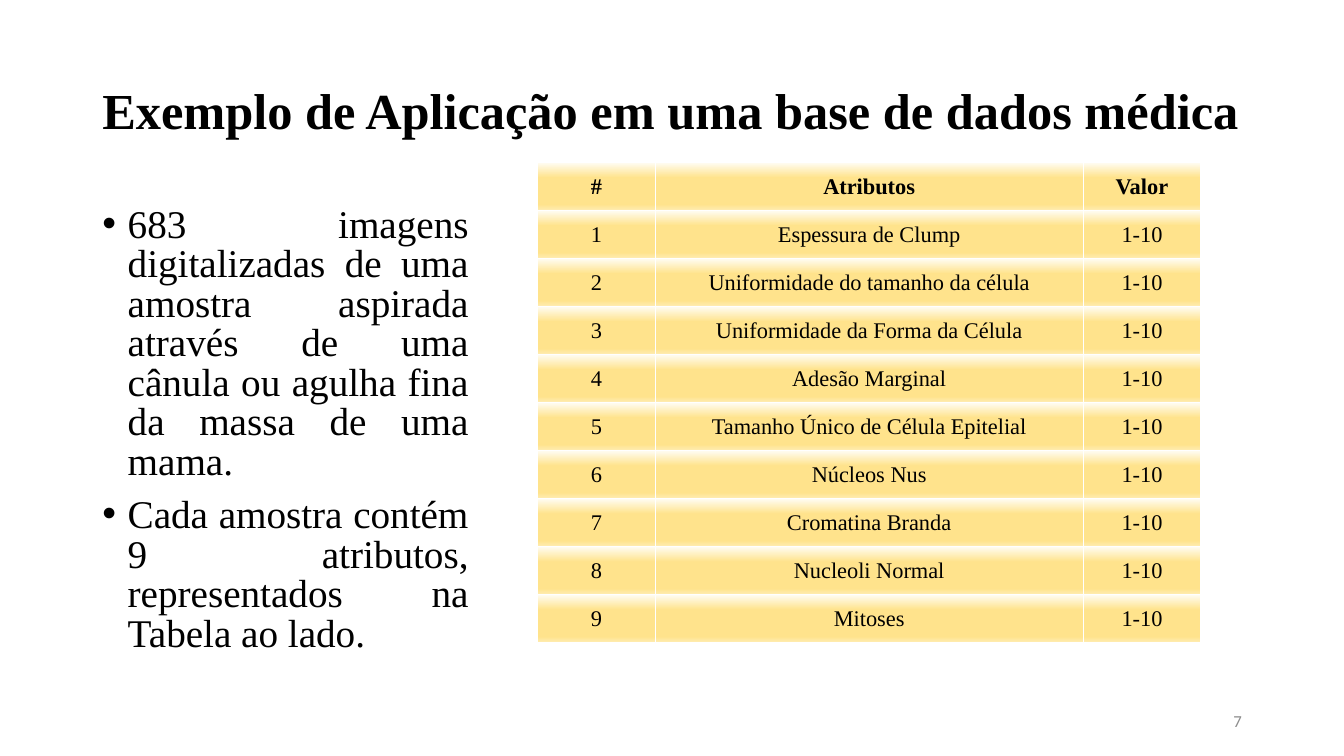
from dataclasses import dataclass

import pptx
import pptx.dml.color
import pptx.enum.text
import pptx.oxml
import pptx.oxml.ns
import pptx.presentation
import pptx.shapes.autoshape
import pptx.slide
import pptx.table
import pptx.text.text
import pptx.util

Cm = pptx.util.Cm
Pt = pptx.util.Pt
RGBColor = pptx.dml.color.RGBColor
Align = pptx.enum.text.PP_ALIGN
Anchor = pptx.enum.text.MSO_ANCHOR

BLACK = RGBColor(0x00, 0x00, 0x00)
WHITE = RGBColor(0xFF, 0xFF, 0xFF)
GRAY = RGBColor(0x8C, 0x8C, 0x8C)
CREAM = RGBColor(0xFF, 0xFC, 0xF2)
GOLD = RGBColor(0xFF, 0xE3, 0x8C)
PALE_GOLD = RGBColor(0xFF, 0xEC, 0xB2)

SERIF = "Times New Roman"
CELL_GRADIENT = ((1, CREAM), (32, GOLD), (88, GOLD), (100, PALE_GOLD))
COLUMN_WIDTHS = (2.96, 10.79, 2.96)
ROW_HEIGHT = 1.21
HEADER = ("#", "Atributos", "Valor")
VALUE_RANGE = "1-10"
ATTRIBUTES = (
    "Espessura de Clump",
    "Uniformidade do tamanho da célula",
    "Uniformidade da Forma da Célula",
    "Adesão Marginal",
    "Tamanho Único de Célula Epitelial",
    "Núcleos Nus",
    "Cromatina Branda",
    "Nucleoli Normal",
    "Mitoses",
)


@dataclass(frozen=True)
class TextStyle:
    size: int
    font: str = SERIF
    color: RGBColor = BLACK
    bold: bool = False
    align: Align = Align.LEFT
    line_spacing: float = 1.0
    space_before: int = 0
    bullet: bool = False


@dataclass(frozen=True)
class TextBlock:
    left: float
    top: float
    width: float
    height: float
    paragraphs: tuple[str, ...]
    style: TextStyle
    anchor: Anchor = Anchor.MIDDLE


HEADER_STYLE = TextStyle(16, bold=True, align=Align.CENTER)
ENTRY_STYLE = TextStyle(16, align=Align.CENTER)

TITLE = TextBlock(
    2.33, 1.02, 29.21, 3.68,
    ("Exemplo de Aplicação em uma base de dados médica",),
    TextStyle(36, bold=True, line_spacing=0.9),
)
SAMPLE_NOTES = TextBlock(
    2.33, 5.08, 9.73, 11.1,
    (
        "683 imagens digitalizadas de uma amostra aspirada através de uma "
        "cânula ou agulha fina da massa de uma mama.",
        "Cada amostra contém 9 atributos, representados na Tabela ao lado.",
    ),
    TextStyle(28, align=Align.JUSTIFY, line_spacing=0.84, space_before=10, bullet=True),
    Anchor.TOP,
)
PAGE_NUMBER = TextBlock(
    23.93, 17.65, 7.62, 1.02, ("7",),
    TextStyle(12, "Calibri", GRAY, align=Align.RIGHT),
)


def parse_drawing(xml: str):
    return pptx.oxml.parse_xml(xml.replace(" ", f" {pptx.oxml.ns.nsdecls('a')} ", 1))


def write_paragraph(paragraph: pptx.text.text._Paragraph, text: str, style: TextStyle) -> None:
    paragraph.alignment = style.align
    paragraph.line_spacing = style.line_spacing
    paragraph.space_before = Pt(style.space_before)
    if style.bullet:
        properties = paragraph._p.get_or_add_pPr()
        properties.set("marL", str(Cm(0.64)))
        properties.set("indent", str(-Cm(0.64)))
        properties.append(parse_drawing('<a:buFont typeface="Arial"/>'))
        properties.append(parse_drawing('<a:buChar char="•"/>'))
    run = paragraph.add_run()
    run.text = text
    run.font.size = Pt(style.size)
    run.font.name = style.font
    run.font.bold = style.bold
    run.font.color.rgb = style.color


def add_text_block(slide: pptx.slide.Slide, block: TextBlock) -> None:
    box = slide.shapes.add_textbox(
        Cm(block.left), Cm(block.top), Cm(block.width), Cm(block.height)
    )
    frame = box.text_frame
    frame.word_wrap = True
    frame.vertical_anchor = block.anchor
    for index, text in enumerate(block.paragraphs):
        paragraph = frame.add_paragraph() if index else frame.paragraphs[0]
        write_paragraph(paragraph, text, block.style)


def paint_cell(cell: pptx.table._Cell) -> None:
    properties = cell._tc.get_or_add_tcPr()
    for side in ("lnL", "lnR", "lnT", "lnB"):
        properties.append(parse_drawing(
            f'<a:{side} w="{Pt(1)}"><a:solidFill><a:srgbClr val="{WHITE}"/>'
            f"</a:solidFill></a:{side}>"
        ))
    stops = "".join(
        f'<a:gs pos="{percent * 1000}"><a:srgbClr val="{color}"/></a:gs>'
        for percent, color in CELL_GRADIENT
    )
    properties.append(parse_drawing(
        f'<a:gradFill rotWithShape="1"><a:gsLst>{stops}</a:gsLst>'
        '<a:lin ang="5400000" scaled="0"/></a:gradFill>'
    ))


def add_attribute_table(slide: pptx.slide.Slide) -> None:
    rows = [HEADER] + [
        (str(number), attribute, VALUE_RANGE)
        for number, attribute in enumerate(ATTRIBUTES, start=1)
    ]
    table = slide.shapes.add_table(
        len(rows), len(HEADER), Cm(13.55), Cm(4.09),
        Cm(sum(COLUMN_WIDTHS)), Cm(ROW_HEIGHT * len(rows)),
    ).table
    table.horz_banding = False
    for column, width in zip(table.columns, COLUMN_WIDTHS):
        column.width = Cm(width)
    for row_index, entries in enumerate(rows):
        table.rows[row_index].height = Cm(ROW_HEIGHT)
        style = ENTRY_STYLE if row_index else HEADER_STYLE
        for column_index, text in enumerate(entries):
            cell = table.cell(row_index, column_index)
            cell.margin_left = cell.margin_right = cell.margin_top = Cm(0.03)
            cell.margin_bottom = Cm(0)
            cell.vertical_anchor = Anchor.MIDDLE
            write_paragraph(cell.text_frame.paragraphs[0], text, style)
            paint_cell(cell)


def main() -> None:
    presentation = pptx.Presentation()
    presentation.slide_width = Cm(33.87)
    presentation.slide_height = Cm(19.05)
    slide = presentation.slides.add_slide(presentation.slide_layouts[6])
    add_text_block(slide, TITLE)
    add_text_block(slide, SAMPLE_NOTES)
    add_attribute_table(slide)
    add_text_block(slide, PAGE_NUMBER)
    presentation.save("out.pptx")


if __name__ == "__main__":
    main()
